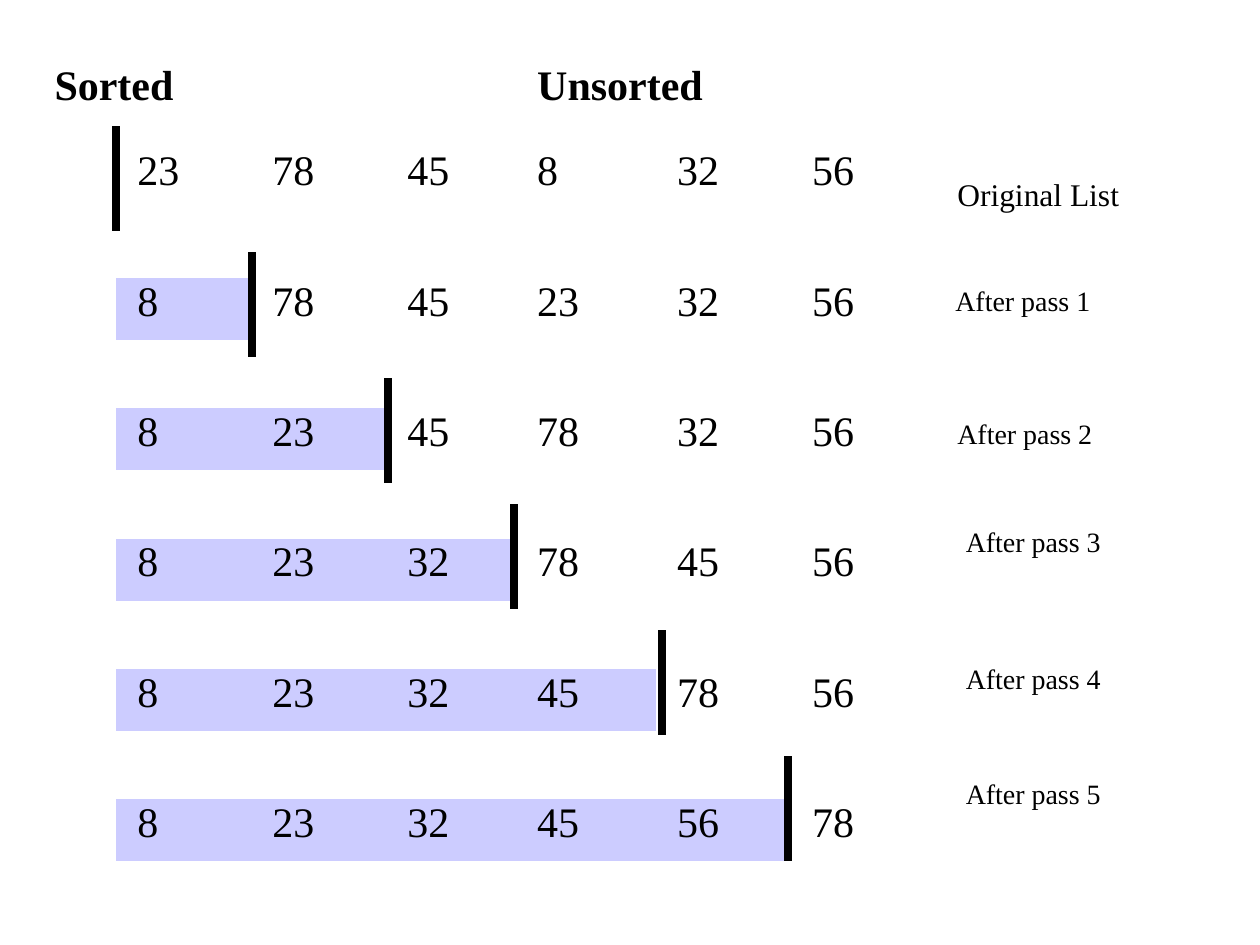
import lxml.etree
import pptx
import pptx.dml.color
import pptx.enum.shapes
import pptx.enum.text
import pptx.oxml.ns
import pptx.util
from pptx.util import Cm

BLACK = pptx.dml.color.RGBColor(0, 0, 0)
LILAC = pptx.dml.color.RGBColor(0xCC, 0xCC, 0xFF)
FONT = "Times New Roman"
NO_STYLE = "{2D5ABB26-0587-4C30-8999-92F81FD0307C}"

# Row i shows the list after pass i; its first i numbers are sorted.
PASSES = [
    (23, 78, 45, 8, 32, 56),
    (8, 78, 45, 23, 32, 56),
    (8, 23, 45, 78, 32, 56),
    (8, 23, 32, 78, 45, 56),
    (8, 23, 32, 45, 78, 56),
    (8, 23, 32, 45, 56, 78),
]
# text, left, top, size, has margins
LABELS = [
    ("Original List", 19.05, 3.39, 18, True),
    ("After pass 1", 19.26, 5.72, 16, False),
    ("After pass 2", 19.05, 8.26, 16, True),
    ("After pass 3", 19.47, 10.58, 16, False),
    ("After pass 4", 19.47, 13.34, 16, False),
    ("After pass 5", 19.47, 15.66, 16, False),
]
HEADINGS = [("Sorted", 0.85), ("Unsorted", 10.58)]
WALLS = [2.34, 5.08, 7.83, 10.37, 13.34, 15.88]
WALL_STEP, WALL_HEIGHT = 2.54, 2.12

TABLE_LEFT, TABLE_TOP = 2.34, 2.97
COLUMNS = [2.72, 2.72, 2.62, 2.82, 2.72, 2.72]
NUMBER_ROW, GAP_ROW = 1.25, 1.38


def add_run(p, text, size, bold=False):
    r = p.add_run()
    r.text = text
    r.font.name = FONT
    r.font.size = pptx.util.Pt(size)
    r.font.bold = bold
    r.font.color.rgb = BLACK


def add_text(s, text, left, top, width, height, size, margins=True, bold=False):
    tf = s.shapes.add_textbox(Cm(left), Cm(top), Cm(width), Cm(height)).text_frame
    tf.word_wrap = True
    tf.margin_left = tf.margin_right = Cm(0.25 if margins else 0)
    tf.margin_top = tf.margin_bottom = Cm(0.13 if margins else 0)
    add_run(tf.paragraphs[0], text, size, bold)
    return tf


def add_passes(s):
    """Table of the lists, with an empty row between each two."""
    heights = [GAP_ROW if i % 2 else NUMBER_ROW for i in range(2 * len(PASSES) - 1)]
    table = s.shapes.add_table(
        len(heights), len(COLUMNS), Cm(TABLE_LEFT), Cm(TABLE_TOP),
        Cm(sum(COLUMNS)), Cm(sum(heights))).table
    table.first_row = table.horz_banding = False
    table._tbl.tblPr.find(pptx.oxml.ns.qn("a:tableStyleId")).text = NO_STYLE
    for column, width in zip(table.columns, COLUMNS):
        column.width = Cm(width)
    for row, height in zip(table.rows, heights):
        row.height = Cm(height)
    for cell in table.iter_cells():
        cell.fill.background()
    for done, numbers in enumerate(PASSES):
        for col, number in enumerate(numbers):
            cell = table.cell(2 * done, col)
            cell.margin_left = Cm(0.43)
            cell.margin_right = Cm(0.25)
            cell.margin_top = cell.margin_bottom = Cm(0.13)
            p = cell.text_frame.paragraphs[0]
            p.line_spacing = 0.86
            add_run(p, str(number), 24)
            if col < done:
                cell.fill.solid()
                cell.fill.fore_color.rgb = LILAC


def add_wall(s, x, top):
    line = s.shapes.add_connector(
        pptx.enum.shapes.MSO_CONNECTOR.STRAIGHT,
        Cm(x), Cm(top), Cm(x), Cm(top + WALL_HEIGHT))
    line.line.color.rgb = BLACK
    line.line.width = pptx.util.Pt(4.5)
    lxml.etree.SubElement(line._element.spPr, pptx.oxml.ns.qn("a:effectLst"))


def main():
    prs = pptx.Presentation()
    prs.slide_width, prs.slide_height = Cm(25.4), Cm(19.05)
    s = prs.slides.add_slide(prs.slide_layouts.get_by_name("Blank"))
    add_passes(s)
    for text, left, top, size, margins in LABELS:
        add_text(s, text, left, top, 4.76, 0.95, size, margins)
    for text, left in HEADINGS:
        tf = add_text(s, text, left, 1.06, 4.02, 1.27, 24, bold=True)
        tf.auto_size = pptx.enum.text.MSO_AUTO_SIZE.SHAPE_TO_FIT_TEXT
    for i, x in enumerate(WALLS, 1):
        add_wall(s, x, i * WALL_STEP)
    prs.save("out.pptx")


if __name__ == "__main__":
    main()
